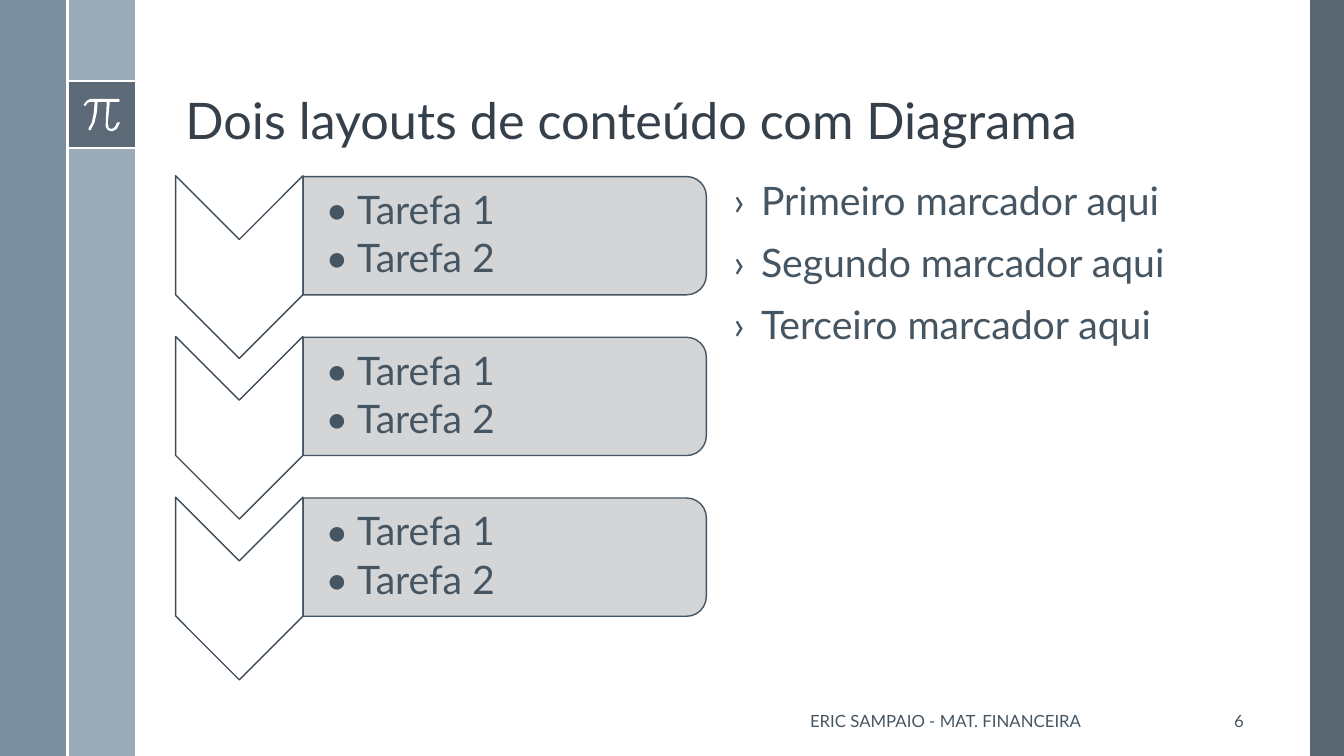
from lxml.etree import SubElement
from pptx import Presentation
from pptx.dml.color import RGBColor
from pptx.enum.shapes import MSO_CONNECTOR as Connector, MSO_SHAPE as Shape
from pptx.enum.text import MSO_ANCHOR as Anchor, MSO_AUTO_SIZE as AutoSize, PP_ALIGN as Align
from pptx.oxml.ns import qn
from pptx.util import Cm, Pt

COLORS = {
    "white": "FFFFFF",
    "title": "35404A",
    "text": "465562",
    "edge": "404D59",
    "card": "CFD1D3",
    "dark": "475562",
    "pale": "9BAAB7",
    "steel": "6A8093",
}

PI_OUTLINE = [
    (118, 98), (90, 98), (86, 100), (83, 104), (84, 105), (85, 105),
    (87, 102), (90, 101), (94, 101), (93, 113), (91, 122), (88, 127),
    (88, 129), (90, 129), (94, 121), (96, 112), (97, 101), (106, 101),
    (105, 122), (105, 126), (107, 129), (110, 130), (112, 130), (116, 128),
    (119, 122), (118, 121), (116, 122), (114, 126), (111, 128), (108, 127),
    (107, 122), (109, 101), (118, 101), (119, 100),
]


class SlideBuilder:
    font = "Lato"

    def __init__(self, slide):
        self.slide = slide
        self.shapes = slide.shapes

    def color(self, name):
        return RGBColor.from_string(COLORS[name])

    def paint(self, shape, fill, line=None, alpha=100):
        shape.shadow.inherit = False
        shape.fill.solid()
        shape.fill.fore_color.rgb = self.color(fill)
        if alpha < 100:
            srgb = shape._element.spPr.find(f"{qn('a:solidFill')}/{qn('a:srgbClr')}")
            SubElement(srgb, qn("a:alpha")).set("val", str(alpha * 1000))
        if line:
            shape.line.color.rgb = self.color(line)
            shape.line.width = Pt(1)
        else:
            shape.line.fill.background()

    def band(self, left, top, width, height, fill, alpha=100):
        band = self.shapes.add_shape(
            Shape.RECTANGLE, Cm(left), Cm(top), Cm(width), Cm(height))
        self.paint(band, fill, alpha=alpha)

    def turned(self, kind, center_x, center_y, width, height, fill, line, alpha=100):
        turned = self.shapes.add_shape(
            kind, Cm(center_x - width / 2), Cm(center_y - height / 2), Cm(width), Cm(height))
        turned.rotation = 90
        self.paint(turned, fill, line, alpha)

    def rule(self, x1, y1, x2, y2):
        rule = self.shapes.add_connector(Connector.STRAIGHT, Cm(x1), Cm(y1), Cm(x2), Cm(y2))
        rule.line.color.rgb = self.color("white")
        rule.line.width = Pt(1.5)
        SubElement(rule._element.spPr, qn("a:effectLst"))

    def outline(self, points, fill):
        builder = self.shapes.build_freeform(*points[0], scale=Cm(0.0254))
        builder.add_line_segments(points[1:], close=True)
        self.paint(builder.convert_to_shape(), fill)

    def add_words(self, paragraph, words, size, color):
        run = paragraph.add_run()
        run.text = words
        run.font.name = self.font
        run.font.size = Pt(size)
        run.font.color.rgb = self.color(color)

    def title(self, words, left, top, width, height):
        title = self.shapes.title
        title.left, title.top, title.width, title.height = map(Cm, (left, top, width, height))
        frame = title.text_frame
        frame.auto_size = AutoSize.NONE
        frame.word_wrap = True
        frame.vertical_anchor = Anchor.BOTTOM
        paragraph = frame.paragraphs[0]
        paragraph.alignment = Align.LEFT
        paragraph.line_spacing = 0.9
        self.add_words(paragraph, words, 36, "title")

    def box(self, left, top, width, height, anchor):
        frame = self.shapes.add_textbox(Cm(left), Cm(top), Cm(width), Cm(height)).text_frame
        frame.word_wrap = True
        frame.vertical_anchor = anchor
        return frame

    def label(self, words, left, top, width, height, align):
        paragraph = self.box(left, top, width, height, Anchor.MIDDLE).paragraphs[0]
        paragraph.alignment = align
        self.add_words(paragraph, words, 12, "text")

    def bullets(self, items, left, top, width, height, mark, indent, gap,
                anchor=Anchor.TOP, inset=None):
        frame = self.box(left, top, width, height, anchor)
        if inset:
            frame.margin_left = Cm(inset)
            frame.margin_top = frame.margin_right = frame.margin_bottom = Cm(0.05)
        for index, item in enumerate(items):
            paragraph = frame.add_paragraph() if index else frame.paragraphs[0]
            properties = paragraph._p.get_or_add_pPr()
            properties.set("marL", str(Cm(indent)))
            properties.set("indent", str(-Cm(indent)))
            SubElement(properties, qn("a:buFont")).set("typeface", self.font)
            SubElement(properties, qn("a:buChar")).set("char", mark)
            paragraph.line_spacing = 0.9
            if index:
                paragraph.space_before = Pt(gap)
            self.add_words(paragraph, item, 28, "text")


def main():
    deck = Presentation()
    deck.slide_width, deck.slide_height = Cm(33.87), Cm(19.05)
    page = SlideBuilder(deck.slides.add_slide(deck.slide_layouts[5]))

    page.band(33.02, 0, 0.85, 19.05, "dark", 90)
    page.band(1.7, 0, 1.7, 19.05, "pale")
    page.band(0, 0, 1.7, 19.05, "steel", 88)
    page.band(1.7, 2.05, 1.7, 1.69, "dark", 75)
    for y in (2.05, 3.74):
        page.rule(1.7, y, 3.4, y)
    page.outline(PI_OUTLINE, "white")
    page.rule(1.7, 0, 1.7, 19.05)

    page.title("Dois layouts de conteúdo com Diagrama", 4.42, 0.48, 27.18, 3.45)

    for step in range(3):
        offset = step * 4.05
        page.turned(Shape.CHEVRON, 6.03, 6.73 + offset, 4.6, 3.21, "white", "edge")
        page.turned(Shape.ROUND_2_SAME_RECTANGLE, 12.72, 5.94 + offset, 2.98, 10.16,
                    "card", "text", 90)
        page.bullets(["Tarefa 1", "Tarefa 2"], 7.65, 4.6 + offset, 10, 2.69,
                     "•", 0.79, 4.2, Anchor.MIDDLE, 0.56)

    page.bullets([f"{order} marcador aqui" for order in ("Primeiro", "Segundo", "Terceiro")],
                 18.24, 4.45, 13.39, 12.7, "›", 0.69, 14)

    page.label("ERIC SAMPAIO - MAT. FINANCEIRA", 18.31, 17.65, 11.05, 1.02, Align.CENTER)
    page.label("6", 29.9, 17.65, 1.7, 1.02, Align.RIGHT)

    deck.save("out.pptx")


if __name__ == "__main__":
    main()
